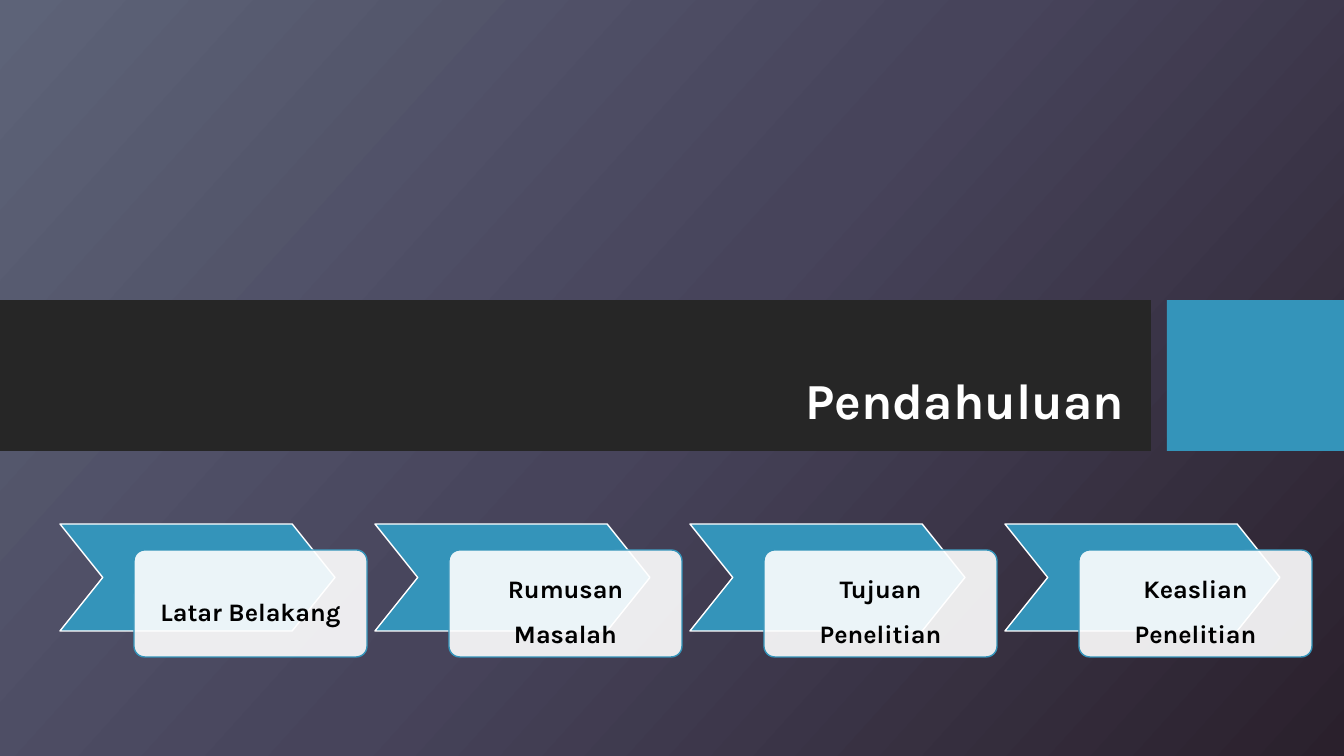
from copy import deepcopy

from lxml import etree
from pptx import Presentation
from pptx.dml.color import RGBColor
from pptx.enum.shapes import MSO_SHAPE
from pptx.enum.text import MSO_ANCHOR, PP_ALIGN
from pptx.oxml.ns import qn
from pptx.util import Pt

RECT, CHEVRON, ROUNDED = MSO_SHAPE.RECTANGLE, MSO_SHAPE.CHEVRON, MSO_SHAPE.ROUNDED_RECTANGLE
CENTER, RIGHT = PP_ALIGN.CENTER, PP_ALIGN.RIGHT
MIDDLE, BOTTOM = MSO_ANCHOR.MIDDLE, MSO_ANCHOR.BOTTOM

PX = 914400 / 100.8
FONT = "Karla"
BLUE, DARK, WHITE, BLACK = "3494BA", "262626", "FFFFFF", "000000"
BACKDROP = [(0, "5D6378"), (0.5, "47445B"), (1, "2A202C")]
TOPICS = ["Latar Belakang", "Rumusan Masalah", "Tujuan Penelitian", "Keaslian Penelitian"]


def px(length):
    return round(length * PX)


def color(value):
    return RGBColor.from_string(value)


def add_block(shapes, kind, box, fill, line=None, corner=None, opacity=None):
    block = shapes.add_shape(kind, *map(px, box))
    block.shadow.inherit = False
    block.fill.solid()
    block.fill.fore_color.rgb = color(fill)
    if line:
        block.line.color.rgb = color(line)
        block.line.width = Pt(1)
    else:
        block.line.fill.background()
    if corner is not None:
        block.adjustments[0] = corner
    if opacity is not None:
        srgb = block._element.spPr.find(qn("a:solidFill"))[0]
        etree.SubElement(srgb, qn("a:alpha")).set("val", str(opacity * 1000))
    return block


def write(shape, text, *, size, ink, align, anchor, spacing, insets):
    frame = shape.text_frame
    frame.word_wrap = True
    frame.vertical_anchor = anchor
    (frame.margin_left, frame.margin_top,
     frame.margin_right, frame.margin_bottom) = map(px, insets)
    paragraph = frame.paragraphs[0]
    paragraph.alignment = align
    paragraph.line_spacing = spacing
    run = paragraph.add_run()
    run.text = text
    run.font.name = FONT
    run.font.size = Pt(size)
    run.font.bold = True
    run.font.color.rgb = color(ink)


def paint_background(slide):
    fill = slide.background.fill
    fill.gradient()
    fill.gradient_angle = 318
    # A new gradient has two stops; the third is cloned
    first = fill.gradient_stops[0]._gs
    first.addnext(deepcopy(first))
    for stop, (position, shade) in zip(fill.gradient_stops, BACKDROP):
        stop.position = position
        stop.color.rgb = color(shade)


def add_title_band(slide, left, top, width, height):
    accent_width, gap = 177, 16
    band_width = width - accent_width - gap
    add_block(slide.shapes, RECT, (left, top, band_width, height), DARK)
    add_block(slide.shapes, RECT,
              (left + width - accent_width, top, accent_width, height), BLUE)

    heading = slide.shapes.title
    heading.left, heading.top = px(left + 75), px(top + 16)
    heading.width, heading.height = px(band_width - 92), px(height - 30)
    write(heading, "Pendahuluan", size=36, ink=WHITE, align=RIGHT, anchor=BOTTOM,
          spacing=0.9, insets=(10, 5, 10, 7))
    # Bring the heading in front of the band
    slide.shapes._spTree.append(heading._element)


def add_topic(shapes, topic, left, top):
    add_block(shapes, CHEVRON, (left, top, 275, 107), BLUE, line=WHITE, corner=0.4)
    card = add_block(shapes, ROUNDED, (left + 74, top + 26, 233, 107), WHITE,
                     line=BLUE, corner=0.1, opacity=90)
    write(card, topic, size=18, ink=BLACK, align=CENTER, anchor=MIDDLE,
          spacing=1.5, insets=(14, 14, 14, 14))


def add_topic_row(slide, left, top, pitch):
    row = slide.shapes.add_group_shape()
    for index, topic in enumerate(TOPICS):
        add_topic(row.shapes, topic, left + index * pitch, top)


def main():
    deck = Presentation()
    deck.slide_width, deck.slide_height = px(1344), px(756)
    slide = deck.slides.add_slide(deck.slide_layouts[5])
    paint_background(slide)
    add_title_band(slide, 0, 300, 1344, 151)
    add_topic_row(slide, 60, 524, 315)
    deck.save("out.pptx")


if __name__ == "__main__":
    main()
